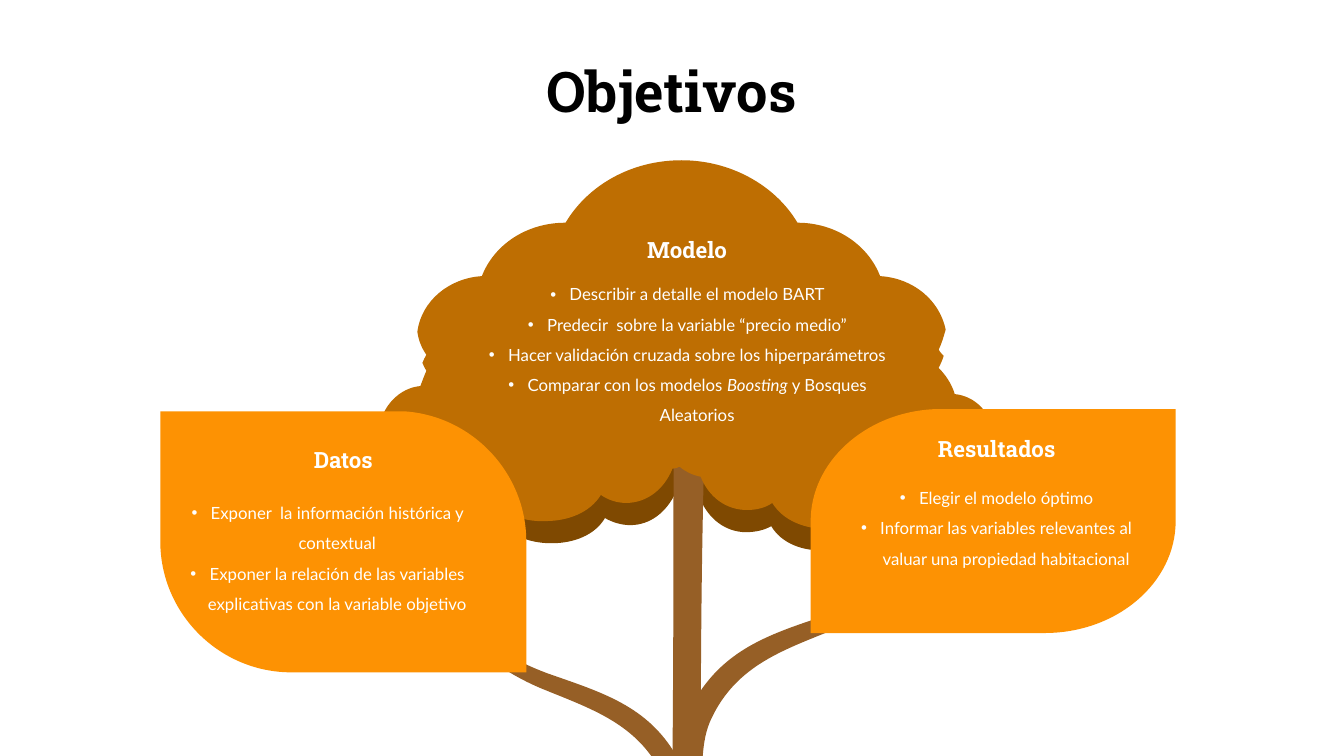
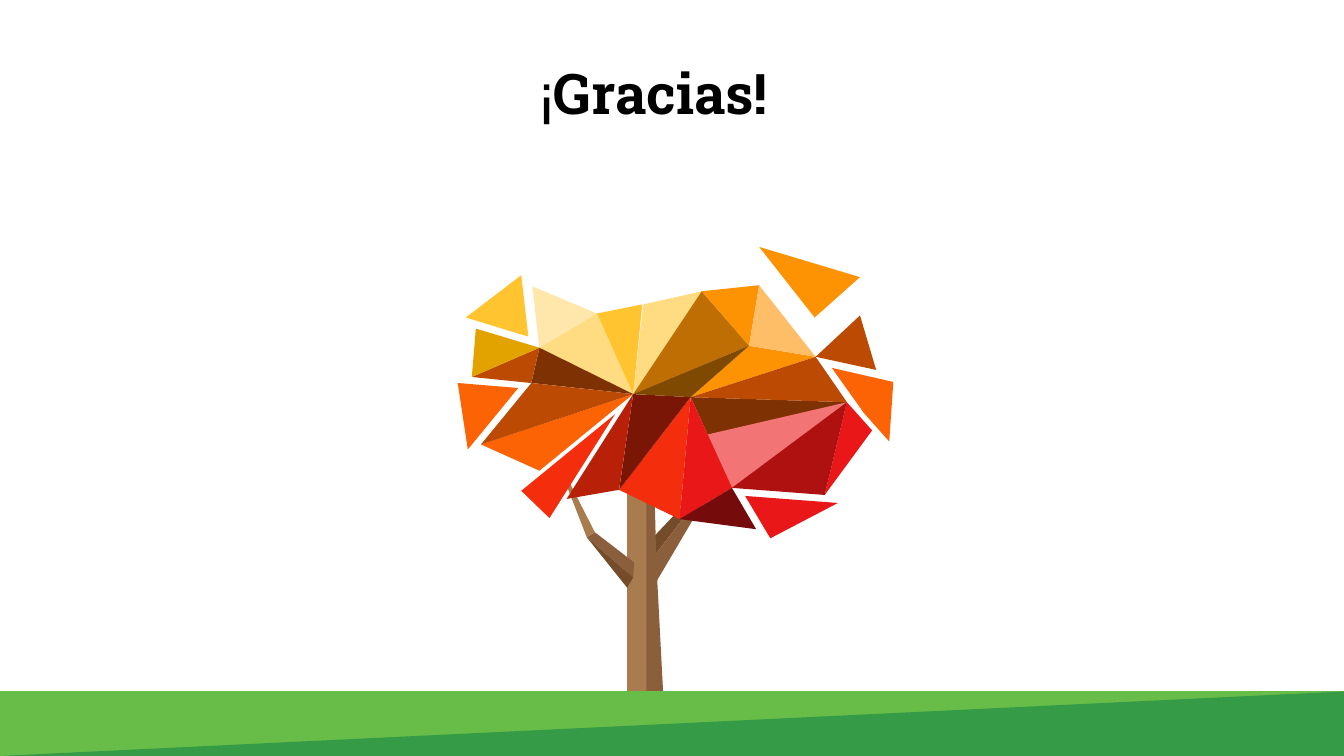
from dataclasses import dataclass
from lxml.etree import SubElement
from pptx import Presentation
from pptx.dml.color import RGBColor
from pptx.enum.text import MSO_ANCHOR, MSO_AUTO_SIZE, PP_ALIGN
from pptx.oxml.ns import qn
from pptx.util import Pt

PX = 9144
WIDE, HIGH = 1333, 750


@dataclass(frozen=True)
class Theme:
    head: str = "Roboto Slab"
    body: str = "Lato"
    title: int = 40
    label: int = 16
    note: int = 12
    black: str = "000000"
    white: str = "FFFFFF"
    ochre: str = "BE6E02"
    umber: str = "7F4901"
    trunk: str = "965F26"
    orange: str = "FD9203"
    peach: str = "FEBE68"
    cream: str = "FFE7AC"
    straw: str = "FFDC82"
    yellow: str = "FFC42F"
    mustard: str = "E2A200"
    flame: str = "FB6305"
    rust: str = "BD4A03"
    brown: str = "7E3102"
    red: str = "E91717"
    pink: str = "F27474"
    ruby: str = "AF1111"
    wine: str = "750B0B"
    scarlet: str = "F42D0C"
    brick: str = "B82108"
    maroon: str = "7A1606"
    bark: str = "8B5E3C"
    light: str = "A97C50"
    shade: str = "754C29"
    grass: str = "68BD48"
    green: str = "359B47"


def write(par, text, size=12, font="Lato", color="FFFFFF", bold=False,
          italic=False, spacing=None, bullet=False):
    par.alignment = PP_ALIGN.CENTER
    if spacing:
        par.line_spacing = spacing
    if bullet:
        props = par._p.get_or_add_pPr()
        props.set("marL", str(19 * PX))
        props.set("indent", str(-19 * PX))
        SubElement(props, qn("a:buFont"), typeface="Arial")
        SubElement(props, qn("a:buChar"), char="•")
    run = par.add_run()
    run.text = text
    run.font.name = font
    run.font.size = Pt(size)
    run.font.bold = bold
    run.font.italic = italic
    run.font.color.rgb = RGBColor.from_string(color)


def bend_lines(form, steps):
    outline = form._element.find(".//" + qn("a:path"))
    nodes = iter(outline.findall(qn("a:lnTo")))
    for step in steps:
        node = next(nodes)
        if len(step) == 6:
            node.tag = qn("a:cubicBezTo")
            for _ in range(2):
                extra = next(nodes)
                node.append(extra[0])
                outline.remove(extra)


class Deck:
    def __init__(self, theme):
        self.theme = theme
        self.show = Presentation()
        self.show.slide_width = WIDE * PX
        self.show.slide_height = HIGH * PX
        self.slide = None

    def start(self, left, top, *runs):
        self.slide = self.show.slides.add_slide(self.show.slide_layouts[5])
        title = self.slide.shapes.title
        title.left, title.top, title.width, title.height = [
            n * PX for n in (left, top, 886, 121)]
        frame = title.text_frame
        frame.auto_size = MSO_AUTO_SIZE.NONE
        frame.vertical_anchor = MSO_ANCHOR.MIDDLE
        for text, bold in runs:
            write(frame.paragraphs[0], text, size=self.theme.title, font=self.theme.head,
                  color=self.theme.black, bold=bold, spacing=0.9)

    def shape(self, color, first, *steps):
        points = [step[i:i + 2] for step in steps for i in range(0, len(step), 2)]
        maker = self.slide.shapes.build_freeform(*first, scale=PX)
        maker.add_line_segments(points, close=True)
        form = maker.convert_to_shape()
        bend_lines(form, steps)
        form.shadow.inherit = False
        form.fill.solid()
        form.fill.fore_color.rgb = RGBColor.from_string(color)
        form.line.fill.background()

    def frame(self, *box):
        frame = self.slide.shapes.add_textbox(*[n * PX for n in box]).text_frame
        frame.word_wrap = True
        return frame

    def label(self, left, top, text):
        write(self.frame(left, top, 153, 37).paragraphs[0], text, size=self.theme.label,
              font=self.theme.head, color=self.theme.white, bold=True)

    def bullets(self, box, *items):
        frame = self.frame(*box)
        for i, item in enumerate(items):
            par = frame.add_paragraph() if i else frame.paragraphs[0]
            runs = item if isinstance(item, tuple) else ((item, False),)
            for j, (text, italic) in enumerate(runs):
                write(par, text, size=self.theme.note, font=self.theme.body,
                      color=self.theme.white, italic=italic, spacing=1.5, bullet=j == 0)

    def save(self):
        self.show.save("out.pptx")


def goals(deck):
    c = deck.theme
    deck.start(223, 33, ("Objetivos", True))
    deck.shape(
        c.umber, (676, 487), (674, 488, 672, 488, 670, 489),
        (661, 508, 645, 521, 625, 521), (616, 521, 607, 518, 600, 514),
        (590, 531, 569, 539, 547, 539), (525, 539, 504, 531, 493, 514),
        (486, 519, 478, 521, 469, 521), (449, 521, 432, 508, 424, 489),
        (403, 486, 387, 465, 387, 441), (387, 416, 404, 395, 426, 393),
        (428, 388, 430, 383, 433, 379), (426, 369, 423, 359, 423, 348),
        (423, 316, 451, 289, 486, 287), (497, 257, 528, 236, 566, 236),
        (587, 200, 629, 176, 677, 176), (725, 176, 767, 200, 788, 236),
        (826, 236, 857, 257, 868, 287), (903, 289, 931, 316, 931, 348),
        (931, 357, 928, 367, 924, 375), (930, 382, 936, 391, 939, 401),
        (960, 402, 978, 423, 978, 448), (978, 473, 962, 493, 941, 496),
        (933, 515, 916, 528, 896, 528), (887, 528, 879, 526, 872, 522),
        (861, 539, 840, 546, 818, 546), (796, 547, 775, 539, 765, 522),
        (758, 526, 749, 528, 740, 528), (720, 528, 703, 515, 695, 496),
        (689, 494, 682, 491, 676, 487))
    deck.shape(c.trunk, (699, 432), (696, 535, 695, 640, 695, HIGH), (667, HIGH),
               (668, 640, 668, 535, 668, 431), (677, 431))
    deck.shape(
        c.ochre, (674, 463), (672, 464, 670, 465, 667, 465),
        (659, 485, 642, 499, 621, 499), (612, 499, 603, 496, 596, 491),
        (585, 509, 563, 517, 541, 517), (518, 518, 496, 509, 485, 491),
        (478, 496, 469, 499, 460, 499), (439, 499, 422, 485, 414, 465),
        (395, 462, 380, 446, 376, 425), (379, 403, 396, 385, 417, 383),
        (419, 378, 421, 372, 423, 368), (422, 366, 420, 363, 419, 360),
        (420, 357, 422, 354, 423, 352), (418, 345, 415, 337, 414, 329),
        (418, 299, 445, 276, 478, 274), (490, 243, 522, 221, 561, 221),
        (583, 184, 626, 159, 676, 159), (725, 159, 769, 184, 791, 221),
        (829, 221, 861, 243, 873, 274), (906, 276, 932, 298, 938, 327),
        (936, 334, 934, 341, 931, 347), (932, 349, 934, 351, 936, 353),
        (935, 357, 933, 361, 931, 365), (938, 372, 944, 381, 947, 391),
        (967, 393, 983, 409, 986, 431), (983, 453, 968, 470, 948, 473),
        (940, 493, 923, 506, 902, 506), (893, 506, 884, 503, 877, 499),
        (866, 517, 844, 525, 822, 525), (799, 525, 777, 517, 766, 499),
        (759, 504, 750, 506, 741, 506), (720, 506, 703, 493, 695, 473),
        (686, 471, 680, 468, 674, 463))
    deck.shape(
        c.trunk, (671, HIGH), (642, 700, 597, 687, 543, 668),
        (508, 655, 472, 634, 448, 604), (435, 588), (438, 598),
        (454, 637, 501, 668, 537, 683), (581, 701, 620, 714, 646, HIGH))
    deck.shape(
        c.trunk, (672, HIGH), (675, 733, 679, 714, 685, 702),
        (715, 644, 764, 629, 821, 610), (857, 597, 893, 576, 917, 546), (930, 530),
        (927, 540), (911, 579, 863, 610, 826, 625), (777, 645, 731, 660, 706, 712),
        (700, 724, 698, 737, 697, HIGH))
    deck.shape(c.orange, (1166, 406), (1166, 517), (1166, 578, 1108, 628, 1036, 628),
               (804, 628), (804, 517), (804, 459, 857, 410, 925, 406))
    deck.shape(c.orange, (159, 408), (159, 537), (159, 609, 218, 667, 289, 667),
               (522, 667), (522, 537), (522, 469, 468, 412, 400, 408))
    deck.label(912, 427, "Resultados")
    deck.bullets((839, 469, 299, 98), "Elegir el modelo óptimo",
                 "Informar las variables relevantes al valuar una propiedad habitacional")
    deck.label(605, 229, "Modelo")
    deck.bullets((472, 267, 420, 158), "Describir a detalle el modelo BART",
                 "Predecir  sobre la variable “precio medio”",
                 "Hacer validación cruzada sobre los hiperparámetros",
                 (("Comparar con los modelos ", False), ("Boosting ", True),
                  ("y Bosques Aleatorios", False)))
    deck.label(264, 438, "Datos")
    deck.bullets((172, 484, 306, 128), "Exponer  la información histórica y contextual",
                 "Exponer la relación de las variables explicativas con la variable objetivo")


def thanks(deck):
    c = deck.theme
    hub, core, knee, rim = (628, 391), (685, 394), (743, 343), (809, 354)
    west, edge, bay, top = (535, 345), (527, 380), (592, 311), (696, 289)
    crest, east, south, base = (753, 283), (840, 399), (726, 484), (674, 515)
    low, tail, tip, cliff = (614, 486), (818, 491), (468, 374), (477, 441)
    fork, elbow, bend = (628, 573), (590, 528), (582, 533)
    deck.start(206, 35, ("¡", False), ("Gracias!", True))
    for color, *path in (
        (c.brown, south, east, core),
        (c.shade, (682, 497), (690, 498), (648, 553), (647, 534)),
        (c.bark, (690, 498), (697, 499), (651, 577), (648, 553)),
        (c.bark, (641, 457), (649, 479), (651, 558), (658, 692), (641, 699)),
        (c.light, (641, 457), (622, 451), (622, 698), (641, 699)),
        (c.bark, fork, (629, 558), elbow, bend),
        (c.shade, fork, (622, 583), bend),
        (c.light, elbow, bend, (559, 474), (564, 477)),
        (c.grass, (0, 686), (WIDE, 686), (WIDE, HIGH), (0, HIGH)),
        (c.green, (WIDE, 686), (0, HIGH), (WIDE, HIGH)),
        (c.straw, hub, bay, west),
        (c.yellow, bay, (637, 302), hub),
        (c.straw, (638, 302), top, hub),
        (c.ochre, top, hub, knee),
        (c.orange, core, knee, rim),
        (c.rust, rim, east, core),
        (c.red, east, (865, 427), tail),
        (c.brown, west, hub, edge),
        (c.pink, south, east, (702, 431)),
        (c.red, south, base, core),
        (c.scarlet, base, low, core),
        (c.maroon, low, hub, core),
        (c.brick, hub, low, (562, 495)),
        (c.scarlet, (610, 411), (545, 514), (517, 487)),
        (c.flame, hub, (535, 467), cliff),
        (c.rust, hub, cliff, edge),
        (c.umber, hub, knee, core),
        (c.flame, (464, 446), (514, 385), (454, 380)),
        (c.rust, tip, west, edge),
        (c.wine, base, (750, 525), south),
        (c.red, (739, 492), (831, 499), (764, 534)),
        (c.orange, top, crest, knee),
        (c.peach, crest, rim, knee),
        (c.flame, (825, 365), (886, 379), (882, 438), (857, 410)),
        (c.cream, bay, (528, 284), west),
        (c.yellow, (517, 273), (462, 315), (524, 334)),
        (c.mustard, (472, 326), tip, west),
        (c.rust, (853, 313), rim, (869, 367)),
        (c.orange, (853, 275), (753, 245), (808, 315)),
        (c.ruby, south, east, tail),
    ):
        deck.shape(color, *path)


def main():
    deck = Deck(Theme())
    goals(deck)
    thanks(deck)
    deck.save()


if __name__ == "__main__":
    main()
